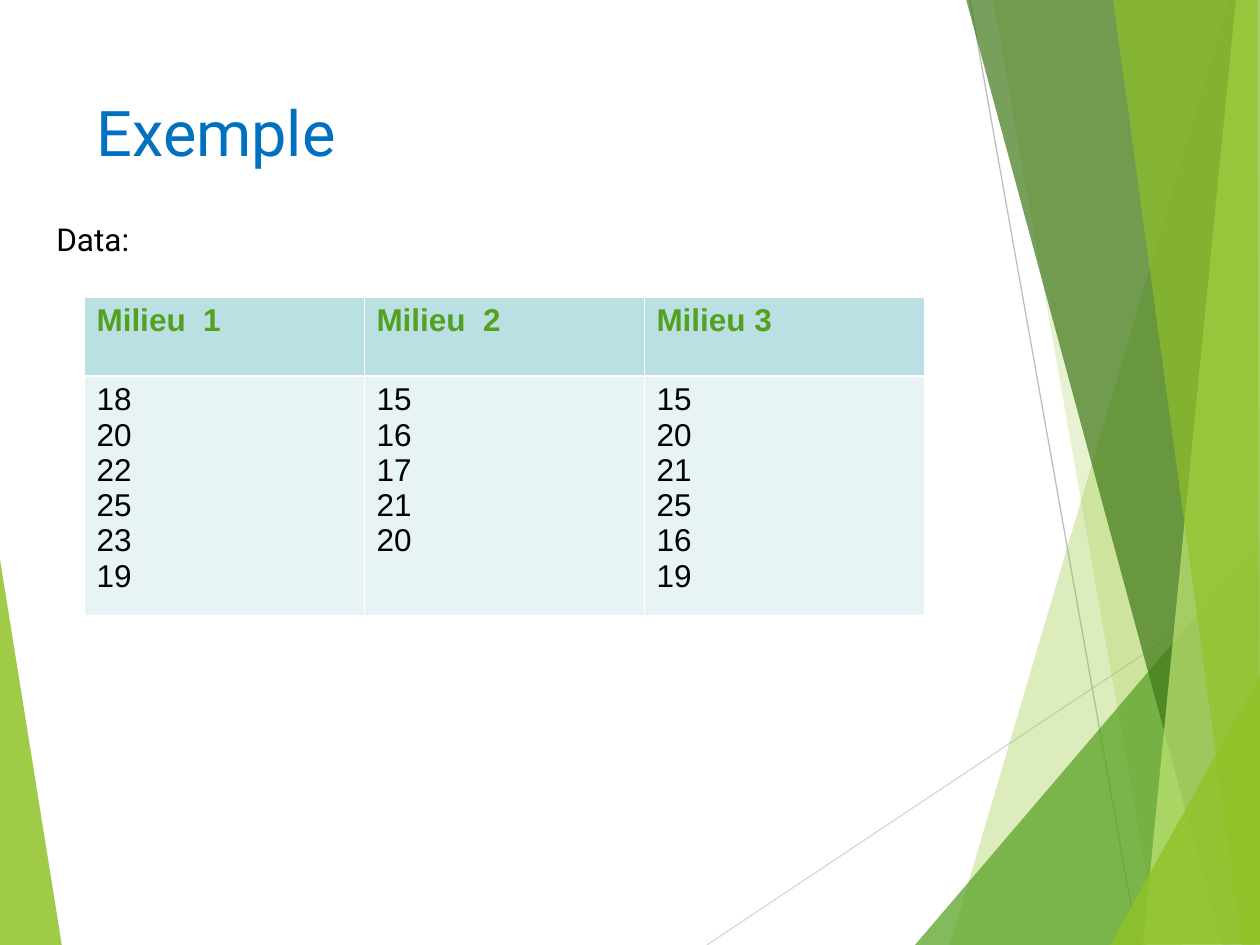
from lxml.etree import SubElement
from pptx import Presentation
from pptx.dml.color import RGBColor
from pptx.enum.shapes import MSO_CONNECTOR
from pptx.enum.text import MSO_ANCHOR, MSO_AUTO_SIZE
from pptx.oxml.ns import qn
from pptx.util import Emu, Pt

PX = 914400 // 126  # EMU in one px
WIDTH, HEIGHT = 1260, 945

WHITE = RGBColor(0xFF, 0xFF, 0xFF)
BLACK = RGBColor(0, 0, 0)
BLUE = RGBColor(0x00, 0x70, 0xC0)
LIME = RGBColor(0x90, 0xC2, 0x26)
GREEN = RGBColor(0x54, 0xA0, 0x21)
DARK_GREEN = RGBColor(0x3F, 0x78, 0x19)
PALE_LIME = RGBColor(0xC0, 0xE4, 0x74)
LIGHT_GREY = RGBColor(0xD9, 0xD9, 0xD9)
GREY = RGBColor(0xBF, 0xBF, 0xBF)
HEADER_FILL = RGBColor(0xBB, 0xE0, 0xE3)
BODY_FILL = RGBColor(0xE7, 0xF3, 0xF4)

# Content
TITLE = "Exemple"
LABEL = "Data:"
SAMPLES = [
    ("Milieu  1", [18, 20, 22, 25, 23, 19]),
    ("Milieu  2", [15, 16, 17, 21, 20]),
    ("Milieu 3", [15, 20, 21, 25, 16, 19]),
]

# Decoration: corner points, fill, opacity in percent
LEFT_FACET = ([(-1, 553), (62, 946), (-1, 945)], LIME, 85)
RIGHT_FACETS = [
    ([(1229, 0), (950, 945), (1262, 946), (1261, 0)], LIME, 30),
    ([(993, -1), (1159, 945), (1261, 945), (1261, -1)], LIME, 20),
    ([(915, 945), (1260, 541), (1261, 945)], GREEN, 72),
    ([(966, -1), (1222, 945), (1261, 944), (1261, -1)], DARK_GREEN, 70),
    ([(1236, -1), (1143, 945), (1261, 945), (1260, -1)], PALE_LIME, 70),
    ([(1113, -1), (1242, 945), (1260, 945), (1257, -1)], LIME, 65),
    ([(1110, 945), (1261, 674), (1261, 944)], LIME, 80),
]
THIN_LINES = [
    ((707, 945), (1261, 576), LIGHT_GREY),
    ((970, 0), (1138, 945), GREY),
]

# Layout
TITLE_BOX = (84, 84, 874, 91)
LABEL_BOX = (44, 214, 277, 50)
TABLE_LEFT, TABLE_TOP = 84, 297
COLUMN_WIDTH = 280
ROW_HEIGHTS = (79, 239)


def px(*lengths):
    return [Emu(length * PX) for length in lengths]


def write(frame, lines, font, size, color, bold=False):
    frame.text = "\n".join(str(line) for line in lines)
    for para in frame.paragraphs:
        for span in para.runs:
            span.font.name = font
            span.font.size = Pt(size)
            span.font.bold = bold
            span.font.color.rgb = color


def add_facet(page, points, color, opacity):
    builder = page.shapes.build_freeform(*points[0], scale=PX)
    builder.add_line_segments(points[1:], close=True)
    facet = builder.convert_to_shape()
    facet.shadow.inherit = False
    facet.line.fill.background()
    facet.fill.solid()
    facet.fill.fore_color.rgb = color
    tint = facet.element.spPr.find(qn("a:solidFill"))[0]
    SubElement(tint, qn("a:alpha"), val=str(opacity * 1000))


def add_thin_line(page, start, end, color):
    line = page.shapes.add_connector(MSO_CONNECTOR.STRAIGHT, *px(*start, *end))
    line.line.color.rgb = color
    line.line.width = Pt(0.75)
    SubElement(line.element.spPr, qn("a:effectLst"))


def style_cell(cell, fill, thick_side):
    properties = cell._tc.get_or_add_tcPr()
    for side in ("lnL", "lnR", "lnT", "lnB"):
        width = Pt(1.47 if side == thick_side else 0.45)
        border = SubElement(properties, qn(f"a:{side}"), w=str(width))
        SubElement(SubElement(border, qn("a:solidFill")), qn("a:srgbClr"), val=str(WHITE))
    cell.fill.solid()
    cell.fill.fore_color.rgb = fill


def add_sample_table(page):
    columns = len(SAMPLES)
    table = page.shapes.add_table(
        2, columns,
        *px(TABLE_LEFT, TABLE_TOP, columns * COLUMN_WIDTH, sum(ROW_HEIGHTS)),
    ).table
    for row, height in zip(table.rows, px(*ROW_HEIGHTS)):
        row.height = height
    for index, (heading, values) in enumerate(SAMPLES):
        table.columns[index].width = px(COLUMN_WIDTH)[0]
        header, body = table.cell(0, index), table.cell(1, index)
        write(header.text_frame, [heading], "Arial", 18, GREEN, bold=True)
        write(body.text_frame, values, "Arial", 18, BLACK)
        style_cell(header, HEADER_FILL, "lnB")
        style_cell(body, BODY_FILL, "lnT")


def main():
    deck = Presentation()
    deck.slide_width, deck.slide_height = px(WIDTH, HEIGHT)
    page = deck.slides.add_slide(deck.slide_layouts[5])

    # Background decoration
    add_facet(page, *LEFT_FACET)
    for line in THIN_LINES:
        add_thin_line(page, *line)
    for facet in RIGHT_FACETS:
        add_facet(page, *facet)

    # Title, brought in front of the decoration
    title = page.shapes.title
    title.element.getparent().append(title.element)
    title.left, title.top, title.width, title.height = px(*TITLE_BOX)
    write(title.text_frame, [TITLE], "Roboto", 36, BLUE)
    title.text_frame.vertical_anchor = MSO_ANCHOR.BOTTOM
    title.text_frame.auto_size = MSO_AUTO_SIZE.NONE
    title.text_frame.paragraphs[0].alignment = 1  # left

    # Table and its label
    add_sample_table(page)
    label = page.shapes.add_textbox(*px(*LABEL_BOX))
    label.text_frame.word_wrap = True
    write(label.text_frame, [LABEL], "Roboto", 18, BLACK)

    deck.save("out.pptx")


if __name__ == "__main__":
    main()
